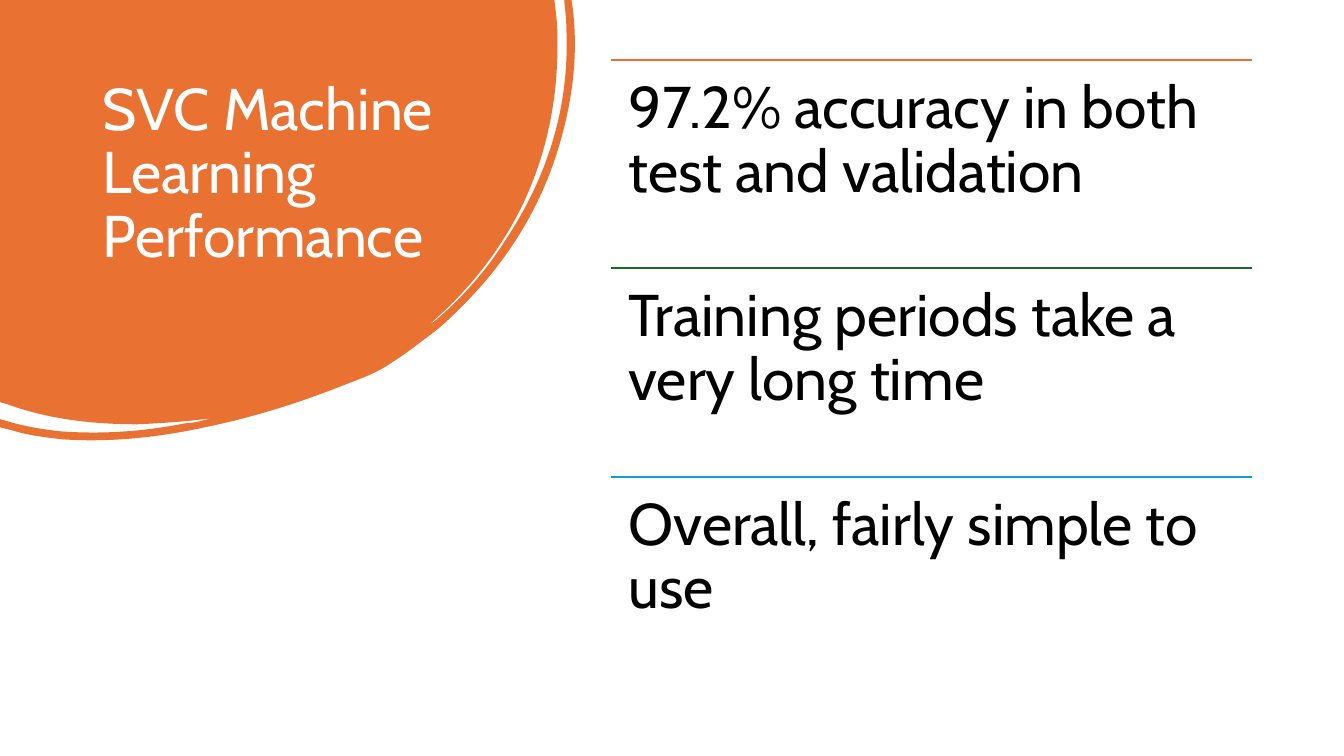
from dataclasses import dataclass

from lxml import etree
from pptx import Presentation
from pptx.dml.color import RGBColor
from pptx.enum.shapes import MSO_CONNECTOR
from pptx.enum.text import MSO_ANCHOR, PP_ALIGN
from pptx.oxml.ns import qn
from pptx.slide import Slide
from pptx.util import Pt

STRAIGHT = MSO_CONNECTOR.STRAIGHT
TOP = MSO_ANCHOR.TOP
LEFT = PP_ALIGN.LEFT

ORANGE = RGBColor(0xE9, 0x71, 0x32)
GREEN = RGBColor(0x19, 0x6B, 0x24)
BLUE = RGBColor(0x0F, 0x9E, 0xD5)
BLACK = RGBColor(0, 0, 0)
WHITE = RGBColor(255, 255, 255)

FONT = "Cabin"
TEXT_SIZE = 42
BLOB_WIDTH, BLOB_HEIGHT = 411.1, 314.6
ROW_LEFT, ROW_TOP, ROW_WIDTH, ROW_HEIGHT = 436.3, 43, 458, 148.75

Point = tuple[float, float]


@dataclass(frozen=True)
class Finding:
    text: str
    color: RGBColor


@dataclass(frozen=True)
class Frame:
    left: float
    top: float
    width: float
    height: float
    inset_x: float
    inset_y: float


FINDINGS = [
    Finding("97.2% accuracy in both test and validation", ORANGE),
    Finding("Training periods take a very long time", GREEN),
    Finding("Overall, fairly simple to use", BLUE),
]

BLOB_OUTLINE: list[tuple[Point, ...]] = [
    ((396, 0),),
    ((397.4, 12.2),),
    ((398.2, 18.7), (398.2, 25.9), (398.2, 32.4)),
    ((398.2, 72.7), (390.2, 110.9), (373, 146.9)),
    ((357.1, 179.3), (334.8, 207.4), (307.4, 231.1)),
    ((308.9, 231.1), (309.6, 229.7), (311, 229)),
    ((330.5, 212.4), (347, 193.7), (360.7, 172.1)),
    ((391, 126.7), (406.8, 77), (404.6, 21.6)),
    ((404.6, 15.1), (403.9, 8.6), (403.2, 2.2)),
    ((403.2, 0),),
    ((408.2, 0),),
    ((409, 5),),
    ((413.3, 38.9), (409, 73.4), (398.2, 108)),
    ((383.8, 154.1), (357.8, 193), (322.6, 226.1)),
    ((316.1, 232.6), (308.9, 238.3), (301.7, 243.4)),
    ((294.5, 249.1), (287.3, 254.2), (278.6, 259.9)),
    ((270, 265.7), (259.2, 270), (247.7, 274.3)),
    ((215.3, 287.3), (181.4, 298.1), (146.2, 305.3)),
    ((113, 312.5), (79.2, 316.1), (45.4, 313.9)),
    ((32.4, 312.5), (20.2, 311), (8.6, 307.4)),
    ((0, 305.3),),
    ((0, 299.5),),
    ((2.9, 300.2),),
    ((16.6, 304.6), (30.2, 306.7), (43.9, 308.2)),
    ((74.2, 310.3), (103, 308.2), (132.5, 302.4)),
    ((136.1, 302.4), (139, 301.7), (142.6, 301)),
    ((145.4, 300.2), (148.3, 299.5), (151.2, 298.8)),
    ((133.9, 301), (115.9, 302.4), (97.9, 303.1)),
    ((66.2, 303.1), (34.6, 299.5), (5, 288.7)),
    ((0, 287.3),),
]


def add_blob(page: Slide) -> None:
    builder = page.shapes.build_freeform(0, 0)
    ends = [segment[-1] for segment in BLOB_OUTLINE]
    builder.add_line_segments([(Pt(x), Pt(y)) for x, y in ends], close=True)
    blob = builder.convert_to_shape()
    blob.shadow.inherit = False
    blob.fill.solid()
    blob.fill.fore_color.rgb = ORANGE
    blob.line.fill.background()
    blob.width, blob.height = Pt(BLOB_WIDTH), Pt(BLOB_HEIGHT)
    outline = next(blob._element.iter(qn("a:path")))
    outline.set("w", str(Pt(BLOB_WIDTH)))
    outline.set("h", str(Pt(BLOB_HEIGHT)))
    for line, segment in zip(outline.findall(qn("a:lnTo")), BLOB_OUTLINE):
        if len(segment) == 3:
            curve = etree.Element(qn("a:cubicBezTo"))
            for x, y in segment:
                etree.SubElement(curve, qn("a:pt"), x=str(Pt(x)), y=str(Pt(y)))
            outline.replace(line, curve)


def add_text(page: Slide, frame: Frame, text: str, color: RGBColor) -> None:
    box = page.shapes.add_textbox(
        Pt(frame.left), Pt(frame.top), Pt(frame.width), Pt(frame.height)
    )
    body = box.text_frame
    body.word_wrap = True
    body.vertical_anchor = TOP
    body.margin_left = body.margin_right = Pt(frame.inset_x)
    body.margin_top = body.margin_bottom = Pt(frame.inset_y)
    para = body.paragraphs[0]
    para.alignment = LEFT
    para.line_spacing = 0.9
    span = para.add_run()
    span.text = text
    span.font.name = FONT
    span.font.size = Pt(TEXT_SIZE)
    span.font.color.rgb = color


def add_rule(page: Slide, top: float, color: RGBColor) -> None:
    rule = page.shapes.add_connector(
        STRAIGHT, Pt(ROW_LEFT), Pt(top), Pt(ROW_LEFT + ROW_WIDTH), Pt(top)
    )
    rule.line.color.rgb = color
    rule.line.width = Pt(1.5)
    etree.SubElement(rule._element.spPr, qn("a:effectLst"))


def add_finding(page: Slide, index: int, finding: Finding) -> None:
    top = ROW_TOP + index * ROW_HEIGHT
    add_rule(page, top, finding.color)
    frame = Frame(ROW_LEFT, top, ROW_WIDTH, ROW_HEIGHT, 12.6, 12.6)
    add_text(page, frame, finding.text, BLACK)


def main() -> None:
    deck = Presentation()
    deck.slide_width = Pt(960)
    deck.slide_height = Pt(540)
    page = deck.slides.add_slide(deck.slide_layouts[6])
    add_blob(page)
    title_frame = Frame(66, 53.3, 253.5, 160, 7.2, 3.6)
    add_text(page, title_frame, "SVC Machine Learning Performance", WHITE)
    for index, finding in enumerate(FINDINGS):
        add_finding(page, index, finding)
    deck.save("out.pptx")


if __name__ == "__main__":
    main()
